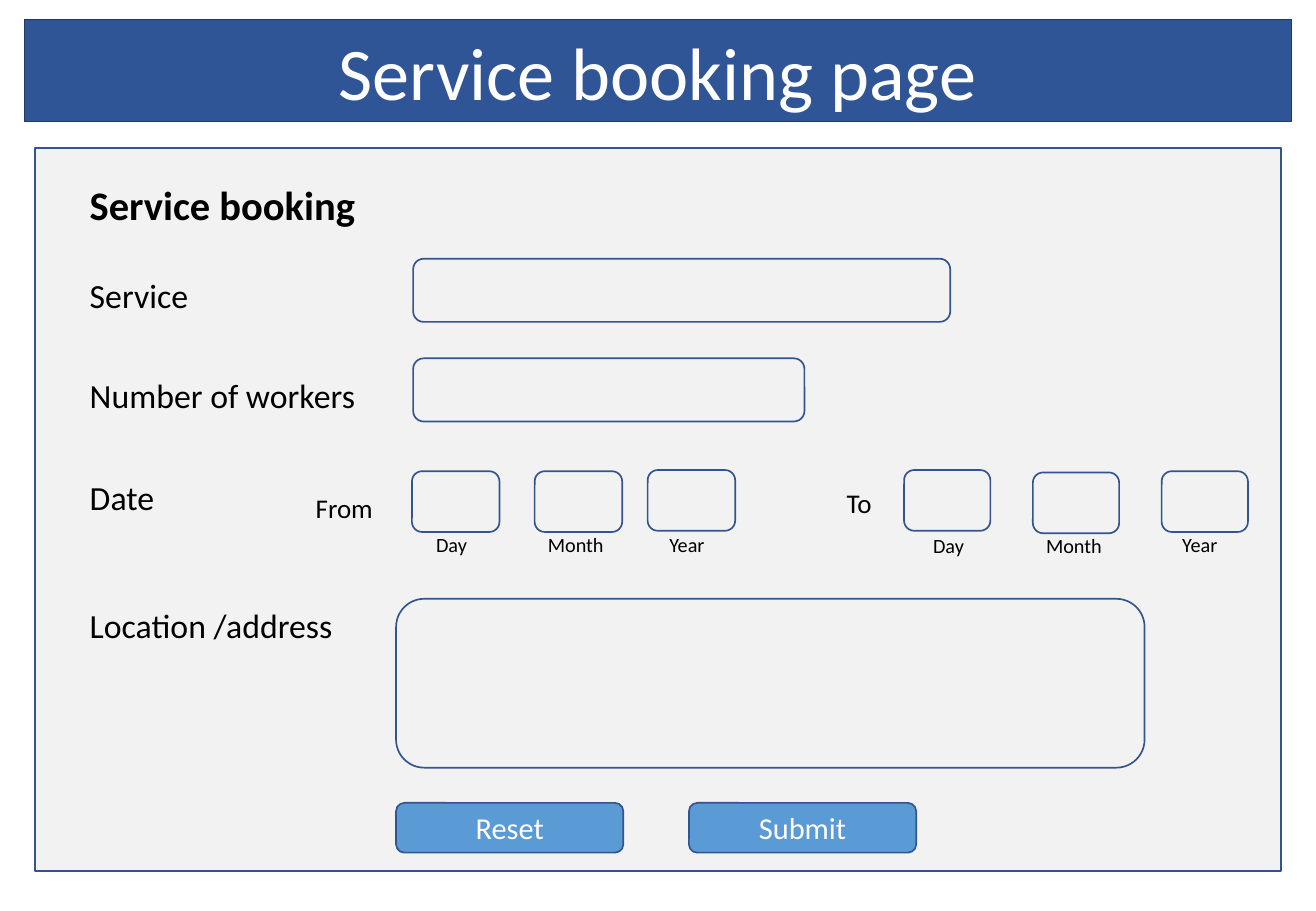
from dataclasses import dataclass

from pptx import Presentation
from pptx import util as u
from pptx.dml.color import RGBColor
from pptx.enum import shapes, text


@dataclass(frozen=True)
class Theme:
    font: str = "Calibri"
    banner: str = "2F5597"
    edge: str = "203864"
    panel: str = "F2F2F2"
    rule: str = "325491"
    button: str = "5B9BD5"
    ink: str = "000000"
    white: str = "FFFFFF"
    title: int = 44
    head: int = 24
    label: int = 20
    action: int = 18
    range: int = 16
    hint: int = 12


class Page:
    def __init__(self, slide, theme):
        self.slide = slide
        self.theme = theme

    def add_words(self, frame, words, size, color, bold=False):
        frame.word_wrap = True
        run = frame.paragraphs[0].add_run()
        run.text = words
        run.font.name = self.theme.font
        run.font.size = u.Pt(size)
        run.font.bold = bold
        run.font.color.rgb = RGBColor.from_string(color)

    def box(self, kind, area, fill, line, width=1):
        shape = self.slide.shapes.add_shape(kind, *map(u.Inches, area))
        shape.shadow.inherit = False
        shape.fill.solid()
        shape.fill.fore_color.rgb = RGBColor.from_string(fill)
        shape.line.color.rgb = RGBColor.from_string(line)
        shape.line.width = u.Pt(width)
        return shape

    def center(self, shape, words, size):
        frame = shape.text_frame
        frame.vertical_anchor = text.MSO_ANCHOR.MIDDLE
        frame.paragraphs[0].alignment = text.PP_ALIGN.CENTER
        self.add_words(frame, words, size, self.theme.white)

    def banner(self, words, area):
        kind = shapes.MSO_SHAPE.RECTANGLE
        shape = self.box(kind, area, self.theme.banner, self.theme.edge, 0.75)
        self.center(shape, words, self.theme.title)

    def panel(self, area):
        kind = shapes.MSO_SHAPE.RECTANGLE
        self.box(kind, area, self.theme.panel, self.theme.rule)

    def field(self, area):
        kind = shapes.MSO_SHAPE.ROUNDED_RECTANGLE
        self.box(kind, area, self.theme.panel, self.theme.rule)

    def button(self, words, area):
        kind = shapes.MSO_SHAPE.ROUNDED_RECTANGLE
        shape = self.box(kind, area, self.theme.button, self.theme.rule)
        self.center(shape, words, self.theme.action)

    def label(self, words, area, size, bold=False):
        frame = self.slide.shapes.add_textbox(*map(u.Inches, area)).text_frame
        self.add_words(frame, words, size, self.theme.ink, bold)


def main():
    deck = Presentation()
    deck.slide_width = u.Inches(10.83)
    deck.slide_height = u.Inches(7.5)
    theme = Theme()
    page = Page(deck.slides.add_slide(deck.slide_layouts[6]), theme)

    page.banner("Service booking page", (0.2, 0.16, 10.43, 0.84))
    page.panel((0.29, 1.22, 10.25, 5.95))
    page.label("Service booking", (0.64, 1.43, 3, 0.5), theme.head, True)

    for words, top, width in (
        ("Service", 2.21, 1.46),
        ("Number of workers", 3.04, 3.21),
        ("Date", 3.88, 2.25),
        ("Location /address", 4.93, 2.36),
    ):
        page.label(words, (0.64, top, width, 0.44), theme.label)

    for area in (
        (3.4, 2.13, 4.42, 0.52),
        (3.4, 2.95, 3.22, 0.52),
        (3.26, 4.93, 6.16, 1.39),
    ):
        page.field(area)

    page.label("From", (2.5, 4, 0.78, 0.37), theme.range)
    page.label("To", (6.87, 3.96, 0.47, 0.37), theme.range)
    for words, left, top, width, start, base in (
        ("Day", 3.39, 3.88, 0.72, 3.49, 4.33),
        ("Month", 4.4, 3.88, 0.72, 4.41, 4.33),
        ("Year", 5.33, 3.87, 0.72, 5.41, 4.33),
        ("Day", 7.44, 3.87, 0.71, 7.58, 4.34),
        ("Month", 8.5, 3.89, 0.71, 8.51, 4.34),
        ("Year", 9.56, 3.88, 0.71, 9.63, 4.33),
    ):
        page.field((left, top, width, 0.5))
        page.label(words, (start, base, 0.75, 0.3), theme.hint)

    for words, left in (("Reset", 3.26), ("Submit", 5.67)):
        page.button(words, (left, 6.61, 1.87, 0.41))

    deck.save("out.pptx")


if __name__ == "__main__":
    main()
